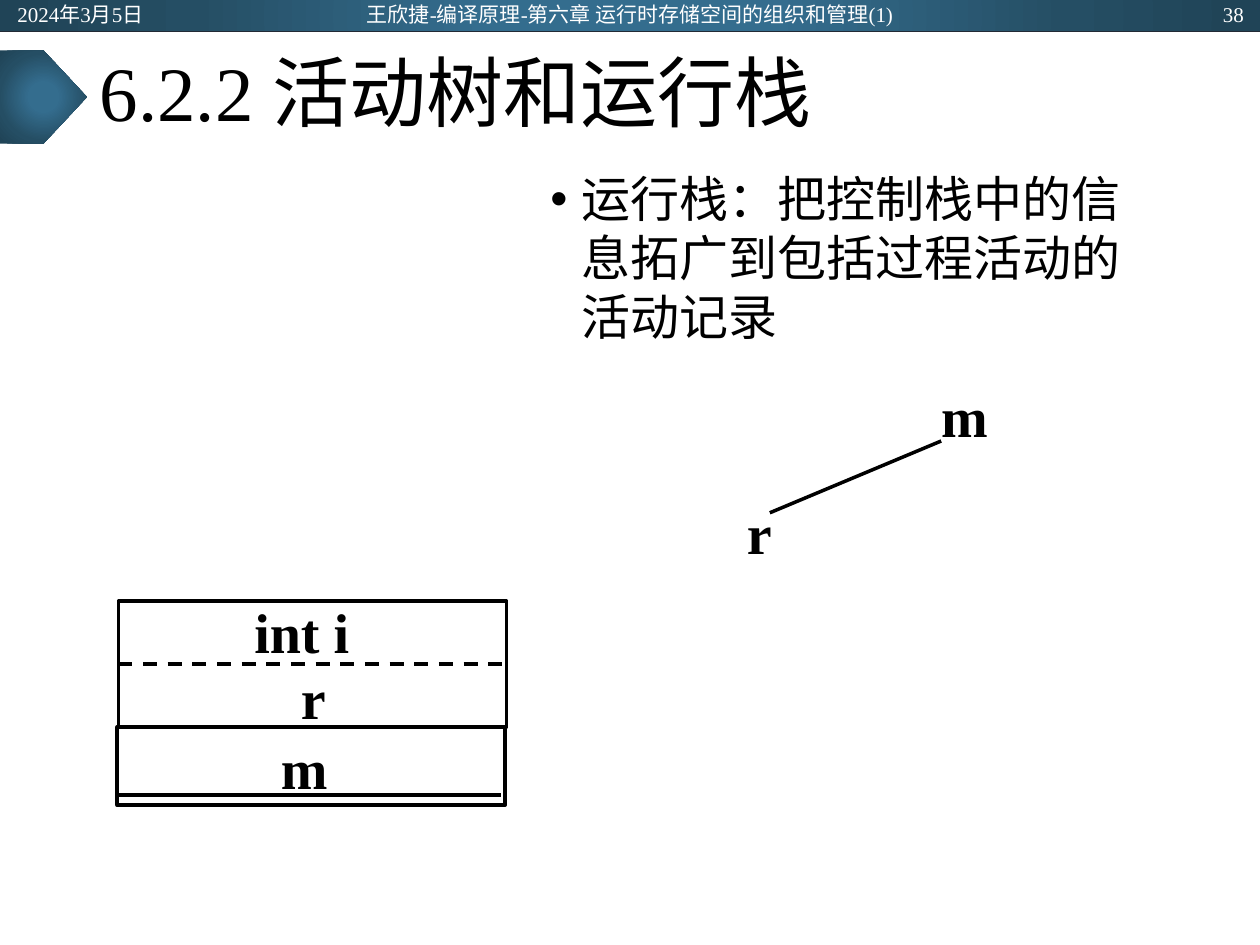
from dataclasses import dataclass

import pptx
import pptx.dml.color
import pptx.enum.dml
import pptx.enum.shapes
import pptx.enum.text
import pptx.oxml
import pptx.oxml.ns
import pptx.util
from lxml import etree

SHAPE = pptx.enum.shapes.MSO_SHAPE
ALIGN = pptx.enum.text.PP_ALIGN
ANCHOR = pptx.enum.text.MSO_ANCHOR
Inches = pptx.util.Inches
Pt = pptx.util.Pt


@dataclass(frozen=True)
class Theme:
    latin: str = "Times New Roman"
    asian: str = "Noto Sans CJK SC"
    ink: str = "000000"
    paper: str = "FFFFFF"
    rule: str = "222A35"
    glow: tuple = ((0, "346D8E"), (23, "346D8E"), (69, "254E64"), (97, "204457"))
    title: int = 44
    body: int = 28
    label: int = 32
    header: int = 12
    stroke: float = 2


THEME = Theme()
WIDTH, HEIGHT = 10, 7.5
BAR_HEIGHT = 0.25
STACK_LEFT, STACK_WIDTH = 0.94, 3.08
STACK_TOP, STACK_SPLIT, STACK_BOTTOM = 4.77, 5.77, 6.39


def color(value):
    return pptx.dml.color.RGBColor.from_string(value)


def style(para, size, ink=THEME.ink, bold=False, align=ALIGN.LEFT):
    para.alignment = align
    font = para.font
    font.size, font.bold, font.name = Pt(size), bold, THEME.latin
    font.color.rgb = color(ink)
    defaults = para._p.pPr.find(pptx.oxml.ns.qn("a:defRPr"))
    etree.SubElement(defaults, pptx.oxml.ns.qn("a:ea"), typeface=THEME.asian)


def add_text(page, text, area, size, wrap=True, anchor=ANCHOR.TOP, top_inset=0.05,
             bottom_inset=0.05, bullet=False, **look):
    box = page.shapes.add_textbox(*map(Inches, area))
    frame = box.text_frame
    frame.word_wrap = wrap
    frame.vertical_anchor = anchor
    frame.margin_top, frame.margin_bottom = Inches(top_inset), Inches(bottom_inset)
    para = frame.paragraphs[0]
    para.text = text
    if bullet:
        add_bullet(para)
    style(para, size, **look)


def add_bullet(para):
    properties = para._p.get_or_add_pPr()
    properties.set("marL", str(Inches(0.25)))
    properties.set("indent", str(-Inches(0.25)))
    etree.SubElement(properties, pptx.oxml.ns.qn("a:buFont"), typeface="Arial")
    etree.SubElement(properties, pptx.oxml.ns.qn("a:buChar"), char="•")


def add_glowing_shape(page, kind, area):
    """Add a borderless shape whose fill fades outward from its centre."""
    shape = page.shapes.add_shape(kind, *map(Inches, area))
    shape.shadow.inherit = False
    shape.line.fill.background()
    stops = "".join(
        f'<a:gs pos="{share * 1000}"><a:srgbClr val="{value}"/></a:gs>'
        for share, value in THEME.glow
    )
    gradient = pptx.oxml.parse_xml(
        f'<a:gradFill {pptx.oxml.ns.nsdecls("a")} rotWithShape="1"><a:gsLst>{stops}</a:gsLst>'
        '<a:path path="circle"><a:fillToRect l="50000" t="50000" r="50000" b="50000"/>'
        "</a:path></a:gradFill>"
    )
    shape._element.spPr.find(pptx.oxml.ns.qn("a:prstGeom")).addnext(gradient)


def add_frame(page, left, top, bottom):
    frame = page.shapes.add_shape(
        SHAPE.RECTANGLE, *map(Inches, (left, top, STACK_WIDTH, bottom - top)))
    frame.shadow.inherit = False
    frame.fill.background()
    frame.line.color.rgb = color(THEME.ink)
    frame.line.width = Pt(THEME.stroke)
    return frame


def add_line(page, start, end, ink=THEME.ink, width=THEME.stroke):
    line = page.shapes.add_connector(
        pptx.enum.shapes.MSO_CONNECTOR.STRAIGHT, *map(Inches, start + end))
    line.line.color.rgb = color(ink)
    line.line.width = Pt(width)
    etree.SubElement(line._element.spPr, pptx.oxml.ns.qn("a:effectLst"))
    return line


def add_header(page):
    add_glowing_shape(page, SHAPE.RECTANGLE, (0, 0, WIDTH, BAR_HEIGHT))
    add_line(page, (0, BAR_HEIGHT), (WIDTH, BAR_HEIGHT), THEME.rule, 0.5)
    for text, left, width, align in (
        ("2024年3月5日", 0.04, 2.25, ALIGN.LEFT),
        ("王欣捷-编译原理-第六章 运行时存储空间的组织和管理(1)", 2.58, 4.84, ALIGN.CENTER),
        ("38", 7.72, 2.25, ALIGN.RIGHT),
    ):
        add_text(page, text, (left, 0.01, width, 0.2), THEME.header, anchor=ANCHOR.MIDDLE,
                 top_inset=0, bottom_inset=0, ink=THEME.paper, align=align)


def set_title(page, text):
    add_glowing_shape(page, SHAPE.PENTAGON, (0, 0.4, 0.69, 0.74))
    title = page.shapes.title
    title.left, title.top, title.width, title.height = map(Inches, (0.69, 0.25, 8.62, 1.04))
    frame = title.text_frame
    frame.auto_size = pptx.enum.text.MSO_AUTO_SIZE.NONE
    frame.vertical_anchor = ANCHOR.MIDDLE
    para = frame.paragraphs[0]
    para.text = text
    para.line_spacing = 0.9
    style(para, THEME.title)


def add_stack(page):
    """Draw the run-time stack: the record of r above the record of m."""
    add_frame(page, STACK_LEFT - 0.01, STACK_SPLIT, STACK_BOTTOM)
    record = add_frame(page, STACK_LEFT, STACK_TOP, STACK_SPLIT)
    add_line(page, (0.92, 6.31), (3.98, 6.31))
    middle = (STACK_TOP + STACK_SPLIT) / 2
    divider = add_line(page, (STACK_LEFT, middle), (STACK_LEFT + STACK_WIDTH, middle))
    divider.line.dash_style = pptx.enum.dml.MSO_LINE.DASH
    divider.begin_connect(record, 1)
    divider.end_connect(record, 3)
    add_text(page, "m", (0.95, 5.73, 2.93, 0.77), THEME.label, top_inset=0.09,
             bold=True, align=ALIGN.CENTER)
    add_text(page, "int i", (1.92, 4.69, 0.96, 0.64), THEME.label, wrap=False, bold=True)
    add_text(page, "r", (2.29, 5.22, 0.4, 0.64), THEME.label, wrap=False, bold=True)


def add_activation_tree(page):
    for name, left, top in (("m", 7.37, 2.98), ("r", 5.83, 3.91)):
        add_text(page, name, (left, top, 0.72, 0.67), THEME.label, bold=True)
    add_line(page, (7.47, 3.5), (6.11, 4.07))


def main():
    deck = pptx.Presentation()
    deck.slide_width, deck.slide_height = Inches(WIDTH), Inches(HEIGHT)
    page = deck.slides.add_slide(deck.slide_layouts[5])
    add_header(page)
    set_title(page, "6.2.2 活动树和运行栈")
    add_text(page, "运行栈：把控制栈中的信息拓广到包括过程活动的活动记录",
             (4.27, 1.29, 5.04, 4.5), THEME.body, bullet=True)
    add_stack(page)
    add_activation_tree(page)
    deck.save("out.pptx")


if __name__ == "__main__":
    main()
